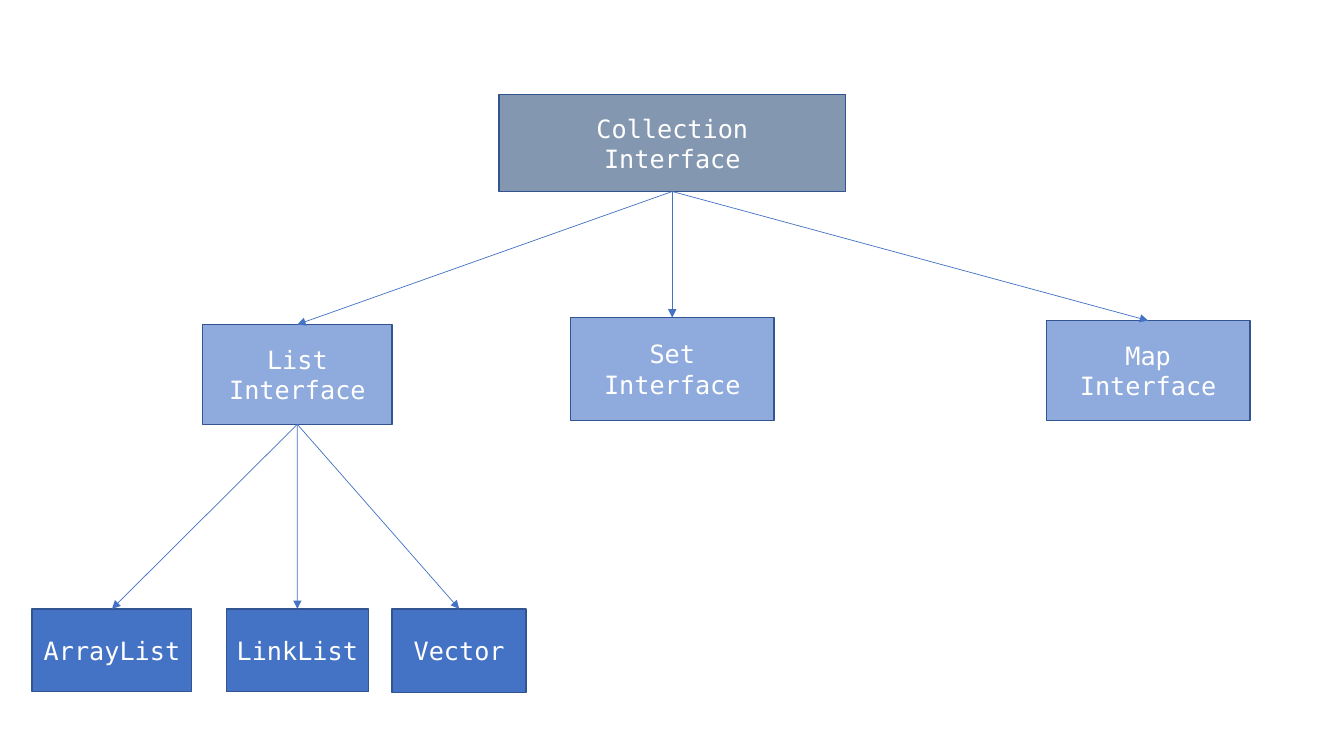
import lxml.etree
import pptx
import pptx.dml.color
import pptx.enum.shapes
import pptx.enum.text
import pptx.oxml.ns
import pptx.util

Pt = pptx.util.Pt
BOTTOM, TOP = 2, 0
LEVEL_FILLS = {"root": "8497B0", "interface": "8FAADC", "class": "4472C4"}


def color(hex_string):
    return pptx.dml.color.RGBColor.from_string(hex_string)


def add_box(slide, lines, level, left, top, width, height):
    shape = slide.shapes.add_shape(
        pptx.enum.shapes.MSO_SHAPE.RECTANGLE, Pt(left), Pt(top), Pt(width), Pt(height)
    )
    shape.shadow.inherit = False
    shape.fill.solid()
    shape.fill.fore_color.rgb = color(LEVEL_FILLS[level])
    shape.line.color.rgb = color("325491")
    shape.line.width = Pt(1)
    frame = shape.text_frame
    frame.word_wrap = True
    frame.margin_left = frame.margin_right = Pt(0)
    frame.vertical_anchor = pptx.enum.text.MSO_ANCHOR.MIDDLE
    for index, line in enumerate(lines):
        paragraph = frame.add_paragraph() if index else frame.paragraphs[0]
        paragraph.alignment = pptx.enum.text.PP_ALIGN.CENTER
        run = paragraph.add_run()
        run.text = line
        run.font.name = "DejaVu Sans Mono"
        run.font.size = Pt(18)
        run.font.color.rgb = color("FFFFFF")
    return shape


def add_arrow(slide, parent, child):
    connector = slide.shapes.add_connector(
        pptx.enum.shapes.MSO_CONNECTOR.STRAIGHT, Pt(0), Pt(0), Pt(0), Pt(0)
    )
    connector.begin_connect(parent, BOTTOM)
    connector.end_connect(child, TOP)
    connector.line.color.rgb = color("4472C4")
    connector.line.width = Pt(0.5)
    qualified = pptx.oxml.ns.qn
    lxml.etree.SubElement(connector.line._get_or_add_ln(), qualified("a:tailEnd"), type="triangle")
    lxml.etree.SubElement(connector._element.spPr, qualified("a:effectLst"))


def add_children(slide, parent, level, children):
    boxes = [add_box(slide, lines, level, *place) for lines, place in children]
    for box in boxes:
        add_arrow(slide, parent, box)
    return boxes


def main():
    presentation = pptx.Presentation()
    presentation.slide_width = Pt(960)
    presentation.slide_height = Pt(540)
    slide = presentation.slides.add_slide(presentation.slide_layouts[6])

    collection = add_box(slide, ["Collection", "Interface"], "root", 356.4, 67.7, 247.6, 69.1)
    interfaces = [
        (["List", "Interface"], (144.7, 231.8, 135.4, 71.3)),
        (["Set", "Interface"], (407.5, 226.8, 145.4, 73.4)),
        (["Map", "Interface"], (747.4, 229, 145.4, 71.3)),
    ]
    list_interface = add_children(slide, collection, "interface", interfaces)[0]
    classes = [
        (["ArrayList"], (23, 434.9, 114, 59)),
        (["LinkList"], (161.6, 434.9, 101.6, 59)),
        (["Vector"], (280.1, 434.9, 95.8, 59.8)),
    ]
    add_children(slide, list_interface, "class", classes)

    presentation.save("out.pptx")


if __name__ == "__main__":
    main()
